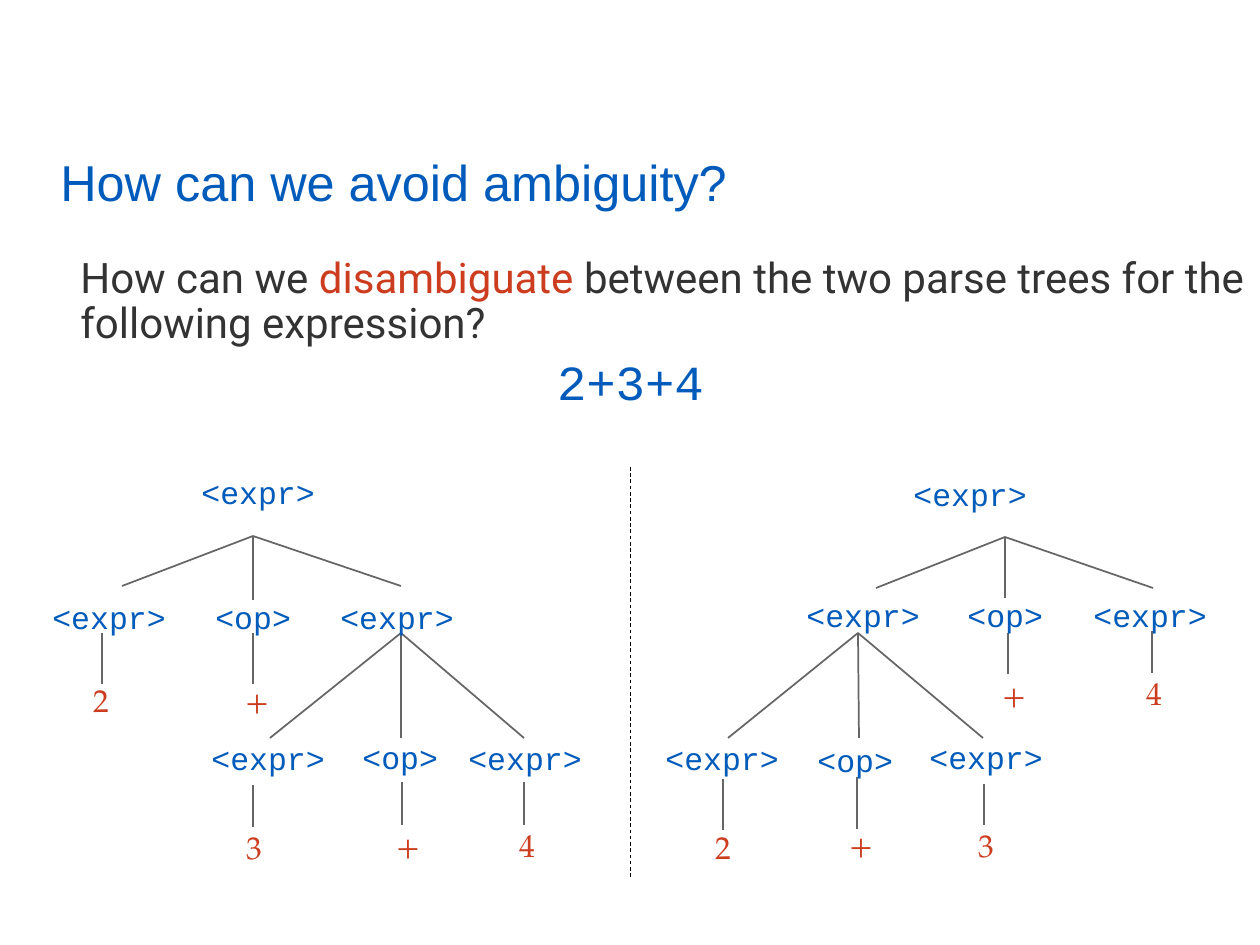
from pptx import Presentation
from pptx.dml.color import RGBColor
from pptx.enum.dml import MSO_LINE
from pptx.enum.shapes import MSO_CONNECTOR
from pptx.enum.text import MSO_ANCHOR, PP_ALIGN
from pptx.oxml.ns import qn
from pptx.util import Pt
from lxml import etree

PX = 914400 / 126
BLUE = RGBColor(0x00, 0x5B, 0xBB)
RED = RGBColor(0xCC, 0x3D, 0x1F)
DARK = RGBColor(0x33, 0x33, 0x33)
GRAY = RGBColor(0x66, 0x66, 0x66)
BLACK = RGBColor(0x00, 0x00, 0x00)
STRAIGHT = MSO_CONNECTOR.STRAIGHT
DASH = MSO_LINE.DASH
TOP, BOTTOM = MSO_ANCHOR.TOP, MSO_ANCHOR.BOTTOM
LEFT, CENTER = PP_ALIGN.LEFT, PP_ALIGN.CENTER
SANS, BODY, MONO, SERIF = "Arial", "Roboto", "Courier New", "TeX Gyre Pagella"

TITLE = [("How can we avoid ambiguity?", BLUE)]
QUESTION = [
    ("How can we ", DARK),
    ("disambiguate", RED),
    (" between the two parse trees for the following expression?", DARK),
]
EXPRESSION = [("2+3+4", BLUE)]

# Symbols and leaves: text, left, top; fans: apex, feet; stems: x, top, bottom
RIGHT_GROUPED = {
    "symbols": [
        ("<expr>", 189, 467),
        ("<expr>", 40, 592), ("<op>", 203, 592), ("<expr>", 328, 592),
        ("<expr>", 199, 733), ("<op>", 350, 732), ("<expr>", 456, 733),
    ],
    "leaves": [("2", 81, 675), ("+", 233, 675),
               ("3", 234, 822), ("+", 384, 820), ("4", 507, 820)],
    "fans": [
        ((253, 536), [(122, 586), (253, 600), (401, 586)]),
        ((401, 633), [(270, 738), (401, 738), (524, 738)]),
    ],
    "stems": [(102, 633, 684), (253, 633, 684),
              (253, 785, 827), (402, 782, 825), (524, 782, 825)],
}
LEFT_GROUPED = {
    "symbols": [
        ("<expr>", 901, 469),
        ("<expr>", 794, 590), ("<op>", 955, 590), ("<expr>", 1081, 590),
        ("<expr>", 653, 733), ("<op>", 805, 735), ("<expr>", 917, 732),
    ],
    "leaves": [("2", 703, 822), ("+", 837, 819), ("3", 966, 820),
               ("+", 990, 669), ("4", 1134, 668)],
    "fans": [
        ((1005, 537), [(876, 588), (1005, 598), (1153, 588)]),
        ((858, 633), [(728, 738), (859, 738), (983, 738)]),
    ],
    "stems": [(723, 779, 830), (857, 777, 829), (984, 784, 825),
              (1008, 633, 674), (1152, 631, 673)],
}
SYMBOL_WIDTHS = {"<expr>": 139, "<op>": 101}
LEAF_WIDTH, LABEL_HEIGHT = 42, 50


def px(length):
    return round(length * PX)


def add_text(page, place, spans, font, size, align=LEFT, anchor=TOP,
             wrap=True, spacing=None):
    box = page.shapes.add_textbox(*map(px, place))
    frame = box.text_frame
    frame.word_wrap = wrap
    frame.vertical_anchor = anchor
    para = frame.paragraphs[0]
    para.alignment = align
    if spacing:
        para.line_spacing = spacing
    for text, color in spans:
        span = para.add_run()
        span.text = text
        span.font.name = font
        span.font.size = Pt(size)
        span.font.color.rgb = color
    return box


def add_line(page, start, end, color=GRAY, width=1):
    line = page.shapes.add_connector(STRAIGHT, *map(px, start + end))
    line.line.color.rgb = color
    line.line.width = Pt(width)
    etree.SubElement(line._element.spPr, qn("a:effectLst"))
    return line


def add_tree(page, tree):
    for apex, feet in tree["fans"]:
        for foot in feet:
            add_line(page, apex, foot)
    for x, top, bottom in tree["stems"]:
        add_line(page, (x, top), (x, bottom))
    for text, left, top in tree["symbols"]:
        place = (left, top, SYMBOL_WIDTHS[text], LABEL_HEIGHT)
        add_text(page, place, [(text, BLUE)], MONO, 18, wrap=False)
    for text, left, top in tree["leaves"]:
        place = (left, top, LEAF_WIDTH, LABEL_HEIGHT)
        add_text(page, place, [(text, RED)], SERIF, 18, wrap=False)


def main():
    deck = Presentation()
    deck.slide_width, deck.slide_height = px(1260), px(945)
    page = deck.slides.add_slide(deck.slide_layouts[6])

    # Heading, question and expression
    add_text(page, (48, 145, 1144, 73), TITLE, SANS, 28.8, anchor=BOTTOM)
    add_text(page, (68, 251, 1196, 130), QUESTION, BODY, 24, spacing=0.9)
    add_text(page, (500, 345, 261, 72), EXPRESSION, MONO, 28, align=CENTER)

    # The two parse trees and the divider
    for tree in (RIGHT_GROUPED, LEFT_GROUPED):
        add_tree(page, tree)
    divider = add_line(page, (630, 467), (630, 878), BLACK, 0.5)
    divider.line.dash_style = DASH

    deck.save("out.pptx")


if __name__ == "__main__":
    main()
